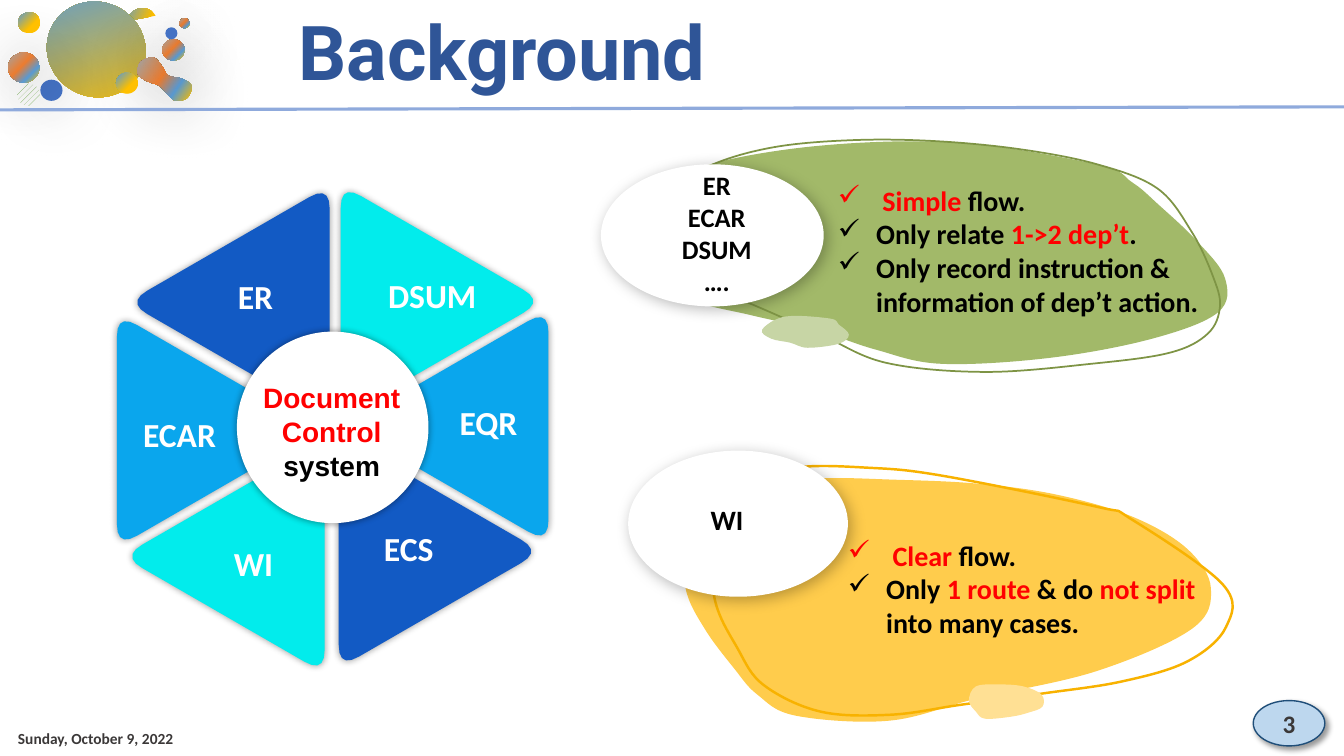
from math import cos, radians, sin

from lxml import etree
from pptx import Presentation
from pptx.dml.color import RGBColor
from pptx.enum.dml import MSO_PATTERN
from pptx.enum.shapes import MSO_CONNECTOR, MSO_SHAPE
from pptx.enum.text import MSO_ANCHOR, PP_ALIGN
from pptx.oxml.ns import qn
from pptx.util import Inches, Pt

ELLIPSE, CHORD, STRIPES = MSO_SHAPE.OVAL, MSO_SHAPE.CHORD, MSO_PATTERN.WIDE_UPWARD_DIAGONAL
LEFT, CENTER = PP_ALIGN.LEFT, PP_ALIGN.CENTER
TOP, MIDDLE, BOTTOM = MSO_ANCHOR.TOP, MSO_ANCHOR.MIDDLE, MSO_ANCHOR.BOTTOM


class Theme:
    font, title_font, hub_font = "Calibri", "Roboto", "Arial"
    black, white, red, grey = "000000", "FFFFFF", "FF0000", "3B3838"
    title, rule, badge, badge_line = "2F5597", "8FAADC", "BDD7EE", "1F4E79"
    blue, cyan, sky, dot, hatch = "125AC4", "02ECEC", "0AA6ED", "4472C4", "70AD47"
    green, yellow = ("A2B969", "7E9445", "C7D5A5"), ("FFCC4C", "F8B200", "FFE094")
    duo = [(0, "FFC000"), (100, "5B9BD5")]
    gold = [(0, "FFC000"), (39, "FFC000"), (100, "5B9BD5")]
    multi = [(0, "FFC000"), (28, "5B9BD5"), (56, "ED7D31"), (100, "A5A5A5")]
    # Shadows: opacity %, blur pt, distance pt, direction in degrees
    bubble_shadow, petal_shadow = (41, 48, 3, 45), (40, 5, 0, 0)
    badge_shadow, oval_shadow = (40, 4, 3, 45), (27, 11, 3, 45)
    size_title, size_label, size_body, size_list, size_badge, size_date = 54, 24, 20, 19, 18, 11


# Points on each smooth outline, in inches: blob, ring, drop
GREEN_OUTLINES = (
    [(11.49, 2.03), (11.23, 1.81), (10.87, 1.63), (9.41, 1.41), (7.83, 1.48), (6.68, 1.77), (6.25, 2.33), (6.38, 2.68),
     (6.83, 2.97), (7.46, 3.13), (8.11, 3.28), (8.69, 3.47), (9.34, 3.61), (10.42, 3.55), (11.43, 3.36), (12.08, 3.1),
     (12.15, 2.76), (11.87, 2.39)],
    [(11.82, 2.3), (11.48, 1.87), (10.88, 1.63), (10.11, 1.48), (9.27, 1.4), (8.47, 1.39), (7.68, 1.46), (7.05, 1.64),
     (6.63, 1.92), (6.47, 2.33), (6.74, 2.73), (7.46, 3.02), (8.14, 3.32), (8.79, 3.6), (9.77, 3.69), (10.82, 3.61),
     (11.6, 3.5), (11.98, 3.31), (12.1, 3.04), (12.03, 2.74)],
    [(8.32, 3.22), (8.23, 3.16), (7.79, 3.14), (7.56, 3.27), (7.65, 3.36), (7.84, 3.4), (8.01, 3.45), (8.32, 3.41),
     (8.42, 3.32)])
YELLOW_OUTLINES = (
    [(10.49, 4.91), (9.71, 4.8), (8.89, 4.76), (8.06, 4.75), (7.29, 4.87), (6.79, 5.32), (6.8, 5.84), (6.99, 6.24),
     (7.28, 6.63), (7.51, 6.89), (7.89, 7.1), (8.82, 7.15), (9.69, 6.93), (10.87, 6.66), (11.82, 6.24), (12.01, 5.84),
     (11.78, 5.45), (11.24, 5.13)],
    [(10.89, 5.03), (9.35, 4.72), (8.61, 4.64), (7.89, 4.64), (7.36, 4.83), (7.1, 5.12), (7.08, 5.9), (7.32, 6.44),
     (7.58, 6.8), (8.14, 7.06), (8.84, 7.09), (9.54, 6.99), (10.34, 6.88), (11.13, 6.76), (11.78, 6.56), (12.16, 6.22),
     (12.13, 5.8), (11.22, 5.15)],
    [(10.15, 6.81), (9.91, 6.79), (9.68, 6.81), (9.61, 6.95), (9.68, 7.06), (9.77, 7.13), (10.03, 7.11), (10.2, 7.07),
     (10.34, 7.01), (10.33, 6.89)])
LIQUID = [(1.74, 1), (1.65, 0.92), (1.58, 0.85), (1.47, 0.81), (1.37, 0.74), (1.39, 0.62), (1.52, 0.57), (1.61, 0.66),
          (1.67, 0.75), (1.8, 0.78), (1.9, 0.85), (1.86, 0.97)]


def style(sp, fill=None, line=None, shadow=None, angle=45):
    """Fill is a colour or a list of gradient stops; line is (colour, points)."""
    if fill is None:
        sp.fill.background()
    elif isinstance(fill, str):
        sp.fill.solid()
        sp.fill.fore_color.rgb = RGBColor.from_string(fill)
    else:
        sp.fill.gradient()
        sp.fill.gradient_angle = 360 - angle
        stops = sp.element.spPr.find(".//" + qn("a:gsLst"))
        stops[:] = []
        for position, color in fill:
            gs = etree.SubElement(stops, qn("a:gs"), pos=str(position * 1000))
            etree.SubElement(gs, qn("a:srgbClr"), val=color)
    if line:
        sp.line.color.rgb, sp.line.width = RGBColor.from_string(line[0]), Pt(line[1])
    else:
        sp.line.fill.background()
    sp.shadow.inherit = False
    if shadow:
        alpha, blur, dist, direction = shadow
        outer = etree.SubElement(sp.element.spPr.find(qn("a:effectLst")), qn("a:outerShdw"), blurRad=str(Pt(blur)),
                                 dist=str(Pt(dist)), dir=str(direction * 60000), algn="ctr", rotWithShape="0")
        color = etree.SubElement(outer, qn("a:srgbClr"), val=Theme.black)
        etree.SubElement(color, qn("a:alpha"), val=str(alpha * 1000))


def add_preset(slide, box, kind=ELLIPSE, rotation=0, **look):
    sp = slide.shapes.add_shape(kind, *map(Inches, box))
    sp.rotation = rotation
    style(sp, **look)
    return sp


def add_outline(slide, points, smooth=True, **look):
    """Closed outline; a smooth one turns each side into a curve that follows its neighbours."""
    start, *rest = [(Inches(x), Inches(y)) for x, y in points]
    builder = slide.shapes.build_freeform(*start)
    builder.add_line_segments(rest + [start], close=True)
    sp = builder.convert_to_shape()
    if smooth:
        sides = list(sp.element.iter(qn("a:lnTo")))
        ends = [(int(side[0].get("x")), int(side[0].get("y"))) for side in sides]
        for i, side in enumerate(sides):
            a, b, c, d = (ends[(i + k) % len(ends)] for k in (-2, -1, 0, 1))
            side.tag = qn("a:cubicBezTo")
            for n, (near, to, away) in enumerate([(b, c, a), (c, b, d)]):
                x, y = (round(near[k] + (to[k] - away[k]) / 6) for k in (0, 1))
                side.insert(n, side.makeelement(qn("a:pt"), {"x": str(x), "y": str(y)}))
    style(sp, **look)


def write(tf, paragraphs, size, font=Theme.font, align=LEFT, anchor=TOP, bullet=None):
    """Each paragraph is a list of (text, colour) runs."""
    tf.word_wrap, tf.vertical_anchor = True, anchor
    for i, runs in enumerate(paragraphs):
        p = tf.add_paragraph() if i else tf.paragraphs[0]
        p.alignment = align
        if bullet:
            pPr = p._p.get_or_add_pPr()
            pPr.attrib.update({"marL": str(Inches(0.38)), "indent": str(-Inches(0.38))})
            etree.SubElement(pPr, qn("a:buChar"), char=bullet)
        for text, color in runs:
            r = p.add_run()
            r.text = text
            for name, value in {"size": Pt(size), "name": font, "bold": True}.items():
                setattr(r.font, name, value)
            r.font.color.rgb = RGBColor.from_string(color)


def add_text(slide, box, paragraphs, size, **options):
    tf = slide.shapes.add_textbox(*map(Inches, box)).text_frame
    if "bullet" in options:
        tf.margin_left = tf.margin_right = 0
    write(tf, paragraphs, size, **options)


def add_bubbles(slide):
    hatched = add_preset(slide, (0.17, 0.83, 0.23, 0.22)).fill
    hatched.patterned()
    hatched.pattern = STRIPES
    hatched.fore_color.rgb, hatched.back_color.rgb = map(RGBColor.from_string, (Theme.hatch, Theme.white))
    chord = add_preset(slide, (1.26, 0.08, 0.3, 0.29), CHORD, 159.5, fill=Theme.gold)
    chord.adjustments[0], chord.adjustments[1] = 16.2, 103.82
    add_preset(slide, (0.46, 0.02, 0.99, 0.94), rotation=206.4, fill=Theme.duo)
    add_outline(slide, LIQUID, fill=Theme.multi, shadow=Theme.bubble_shadow, angle=215)
    for *box, fill in [(1.61, 0.39, 0.22, 0.21, Theme.multi), (1.78, 0.18, 0.1, 0.1, Theme.multi),
                       (0.4, 0.79, 0.22, 0.21, Theme.dot), (1.15, 0.72, 0.22, 0.21, Theme.gold),
                       (0.08, 0.52, 0.31, 0.3, Theme.multi), (0.18, 0.12, 0.22, 0.21, Theme.gold),
                       (1.64, 0.27, 0.12, 0.12, Theme.dot)]:
        add_preset(slide, box, rotation=180, fill=fill, shadow=None if fill is Theme.gold else Theme.bubble_shadow)


def add_petal(slide, cx, cy, heading, color, radius=1.34, trim=0.1):
    """Rounded equilateral triangle whose tip points along heading (degrees)."""
    tips = [(cx + radius * cos(radians(heading + a)), cy + radius * sin(radians(heading + a))) for a in (0, 120, 240)]
    points = []
    for i, tip in enumerate(tips):
        before, after = tips[i - 1], tips[(i + 1) % 3]
        for t in (0, 0.2, 0.4, 0.6, 0.8, 1):
            back, ahead = trim * (1 - t) ** 2, trim * t ** 2
            points.append([v + (b - v) * back + (a - v) * ahead for v, b, a in zip(tip, before, after)])
    add_outline(slide, points, smooth=False, fill=color, shadow=Theme.petal_shadow)


def add_wheel(slide):
    left, right = 180, 0
    petals = [("ECS", 4.03, 5.47, right, Theme.blue, 3.71, 5.19), ("WI", 2.55, 5.52, left, Theme.cyan, 2.22, 5.34),
              ("ECAR", 1.83, 4.27, right, Theme.sky, 1.32, 4.06), ("ER", 2.6, 3, left, Theme.blue, 2.26, 2.69),
              ("DSUM", 4.05, 2.99, right, Theme.cyan, 3.75, 2.68), ("EQR", 4.77, 4.23, left, Theme.sky, 4.46, 3.94)]
    for _, *petal, _, _ in petals:
        add_petal(slide, *petal)
    add_preset(slide, (2.35, 3.29, 1.9, 1.9), fill=Theme.white, shadow=Theme.petal_shadow)
    add_text(slide, (2.5, 3.73, 1.58, 1.11), [[("Document Control ", Theme.red), ("system", Theme.black)]],
             Theme.size_body, font=Theme.hub_font, align=CENTER)
    for label, *_, x, y in petals:
        add_text(slide, (x, y, 1.21, 0.5), [[(label, Theme.white)]], Theme.size_label)


def add_callout(slide, outlines, colors, ring_width, oval, names_box, names, names_size, points_box, points):
    looks = [{"fill": colors[0]}, {"line": (colors[1], ring_width)}, {"fill": colors[2]}]
    for outline, look in zip(outlines, looks):
        add_outline(slide, outline, **look)
    add_preset(slide, oval, fill=Theme.white, shadow=Theme.oval_shadow)
    add_text(slide, names_box, [[(name, Theme.black)] for name in names], names_size, align=CENTER)
    add_text(slide, points_box, points, Theme.size_body, anchor=BOTTOM, bullet="✓")


def add_frame(slide):
    """Header rule, date and page badge."""
    rule = slide.shapes.add_connector(MSO_CONNECTOR.STRAIGHT, 0, Inches(1.09), Inches(13.33), Inches(1.06))
    rule.line.color.rgb, rule.line.width = RGBColor.from_string(Theme.rule), Pt(2.25)
    etree.SubElement(rule.element.spPr, qn("a:effectLst"))
    add_text(slide, (0.08, 7.13, 3.86, 0.4), [[("Sunday, October 9, 2022", Theme.grey)]], Theme.size_date, anchor=MIDDLE)
    badge = add_preset(slide, (12.43, 6.95, 0.71, 0.45), fill=Theme.badge, line=(Theme.badge_line, 1),
                       shadow=Theme.badge_shadow)
    write(badge.text_frame, [[("3", Theme.grey)]], Theme.size_badge, align=CENTER, anchor=MIDDLE)


def main():
    prs = Presentation()
    prs.slide_width, prs.slide_height = Inches(13.33), Inches(7.5)
    slide = prs.slides.add_slide(prs.slide_layouts[6])
    black, red = Theme.black, Theme.red
    for add_part in (add_bubbles, add_frame, add_wheel):
        add_part(slide)
    add_text(slide, (2.86, 0, 5.96, 1.01), [[("Background", Theme.title)]], Theme.size_title, font=Theme.title_font)
    add_callout(slide, GREEN_OUTLINES, Theme.green, 1.25, (5.96, 1.63, 2.21, 1.41), (6.06, 1.63, 2.1, 1.76),
                ["ER", "ECAR", "DSUM", "…."], Theme.size_list, (8.31, 1.75, 3.81, 1.45),
                [[(" Simple", red), (" flow.", black)],
                 [("Only relate ", black), ("1->2 dep’t", red), (".", black)],
                 [("Only record instruction & information of dep’t action.", black)]])
    add_callout(slide, YELLOW_OUTLINES, Theme.yellow, 1.75, (6.23, 4.47, 2.18, 1.45), (5.82, 4.94, 2.78, 0.38),
                ["WI"], Theme.size_body, (8.41, 5.28, 3.81, 1.11),
                [[(" Clear", red), (" flow.", black)], [("Only ", black), ("1 route ", red), ("& do ", black),
                                                        ("not split ", red), ("into many cases.", black)]])
    prs.save("out.pptx")


if __name__ == "__main__":
    main()
